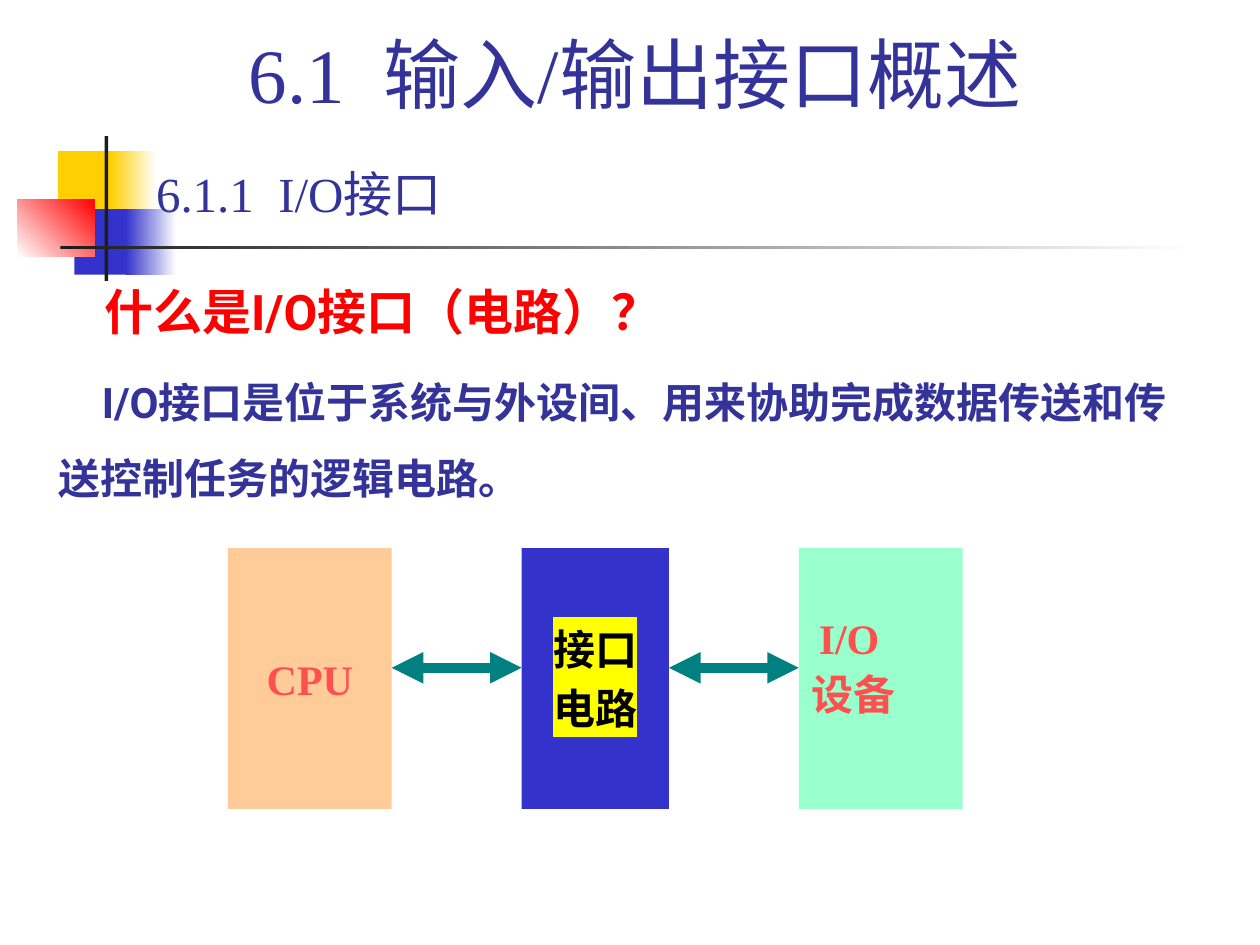
from lxml import etree
from pptx import Presentation
from pptx.dml.color import RGBColor
from pptx.enum import shapes, text
from pptx.oxml import ns
from pptx.util import Inches, Pt

THEME = {
    "white": "FFFFFF", "yellow": "FFCF01", "blue": "3333CC", "red": "FF0000",
    "black": "1C1C1C", "ink": "333399", "coral": "FF5050", "teal": "008080",
    "peach": "FFCC99", "mint": "99FFCC", "marker": "FFFF00", "label": "000000",
    "serif": "Times New Roman", "sans": "Roboto",
    "title": 44, "heading": 28, "body": 24, "arrow": 6,
}

DECORATION = [
    ((0.46, 1.2, 0.48, 0.52), ["yellow"], 0),
    ((0.88, 1.2, 0.36, 0.52), ["yellow", "white"], 0),
    ((0.59, 1.66, 0.46, 0.52), ["blue"], 0),
    ((1, 1.66, 0.4, 0.52), ["blue", "white"], 0),
    ((0.14, 1.58, 0.61, 0.46), ["white", "red"], 45),
    ((0.83, 1.08, 0.03, 1.15), ["black"], 0),
    ((0.48, 1.95, 9, 0.03), ["black", "white"], 0),
]
TITLE = "6.1  输入/输出接口概述"
SECTION = "6.1.1  I/O接口"
QUESTION = "什么是I/O接口（电路）？"
ANSWER = "I/O接口是位于系统与外设间、用来协助完成数据传送和传送控制任务的逻辑电路。"
BLOCKS = [
    (1.81, 1.3, "peach", ["CPU"], {"color": "coral"}),
    (4.14, 1.17, "blue", ["接口", "电路"], {"color": "label", "highlight": "marker"}),
    (6.34, 1.3, "mint", [], {}),
]
BLOCK_TOP, BLOCK_HEIGHT, ARROW_Y = 4.35, 2.07, 5.3


def color(name):
    return RGBColor.from_string(THEME[name])


def add_rectangle(page, place, colors, angle=0):
    box = page.shapes.add_shape(shapes.MSO_SHAPE.RECTANGLE, *map(Inches, place))
    box.shadow.inherit = False
    box.line.fill.background()
    if len(colors) == 1:
        box.fill.solid()
        box.fill.fore_color.rgb = color(colors[0])
    else:
        box.fill.gradient()
        box.fill.gradient_angle = angle
        for stop, name in zip(box.fill.gradient_stops, colors):
            stop.color.rgb = color(name)
    return box


def add_text_box(page, place):
    return page.shapes.add_textbox(*map(Inches, place))


def write(box, content, size="body", font="serif", color_name="ink", bold=False,
          align="LEFT", indent=0, line_spacing=None, before=0, after=0, highlight=None):
    frame = box.text_frame
    first = not frame.text
    para = frame.paragraphs[0] if first else frame.add_paragraph()
    para.alignment = getattr(text.PP_ALIGN, align)
    para.space_before = Pt(0 if first else before)
    para.space_after = Pt(after)
    if line_spacing:
        para.line_spacing = line_spacing
    if indent:
        para._p.get_or_add_pPr().set("indent", str(Inches(indent)))
    span = para.add_run()
    span.text = content
    span.font.size = Pt(THEME[size])
    span.font.name = THEME[font]
    span.font.bold = bold
    span.font.color.rgb = color(color_name)
    if highlight:
        mark = etree.Element(ns.qn("a:highlight"))
        etree.SubElement(mark, ns.qn("a:srgbClr"), val=THEME[highlight])
        span.font._element.find(ns.qn("a:solidFill")).addnext(mark)


def set_frame(box, anchor="MIDDLE", wrap=True):
    box.text_frame.word_wrap = wrap
    box.text_frame.vertical_anchor = getattr(text.MSO_ANCHOR, anchor)


def add_double_arrow(page, start, end):
    arrow = page.shapes.add_connector(
        shapes.MSO_CONNECTOR.STRAIGHT, Inches(start), Inches(ARROW_Y), Inches(end), Inches(ARROW_Y))
    arrow.line.color.rgb = color("teal")
    arrow.line.width = Pt(THEME["arrow"])
    line = arrow.line._get_or_add_ln()
    for end_name in ("headEnd", "tailEnd"):
        etree.SubElement(line, ns.qn("a:" + end_name), type="triangle")
    etree.SubElement(arrow._element.spPr, ns.qn("a:effectLst"))


def main():
    deck = Presentation()
    deck.slide_width, deck.slide_height = Inches(10), Inches(7.5)
    page = deck.slides.add_slide(deck.slide_layouts[6])

    for place, colors, angle in DECORATION:
        add_rectangle(page, place, colors, angle)

    title = add_rectangle(page, (0.83, 0.14, 8.42, 0.88), ["white"])
    set_frame(title)
    write(title, TITLE, size="title", align="CENTER")

    section = add_text_box(page, (1.14, 1.09, 8.11, 0.88))
    set_frame(section)
    write(section, SECTION, size="heading")

    body = add_text_box(page, (0.37, 2.14, 9.1, 4.6))
    set_frame(body, anchor="TOP")
    write(body, QUESTION, size="heading", font="sans", color_name="red", bold=True,
          indent=0.36, line_spacing=1.1, after=1.4)
    write(body, ANSWER, font="sans", bold=True, indent=0.34, line_spacing=1.5,
          before=4.8, after=1.2)

    for left, width, fill, lines, style in BLOCKS:
        block = add_rectangle(page, (left, BLOCK_TOP, width, BLOCK_HEIGHT), [fill])
        set_frame(block, wrap=False)
        for line in lines:
            write(block, line, color_name=style["color"], bold=True, align="CENTER",
                  before=4.8, highlight=style.get("highlight"))

    device = add_text_box(page, (6.34, 4.92, 1.3, 0.86))
    set_frame(device, anchor="TOP")
    for line, indent in (("I/O", 0.06), ("设备", 0)):
        write(device, line, color_name="coral", bold=True, indent=indent,
              line_spacing=0.7, before=12)

    for (left, width, *_), (following, *_) in zip(BLOCKS, BLOCKS[1:]):
        add_double_arrow(page, left + width, following)

    deck.save("out.pptx")


if __name__ == "__main__":
    main()
